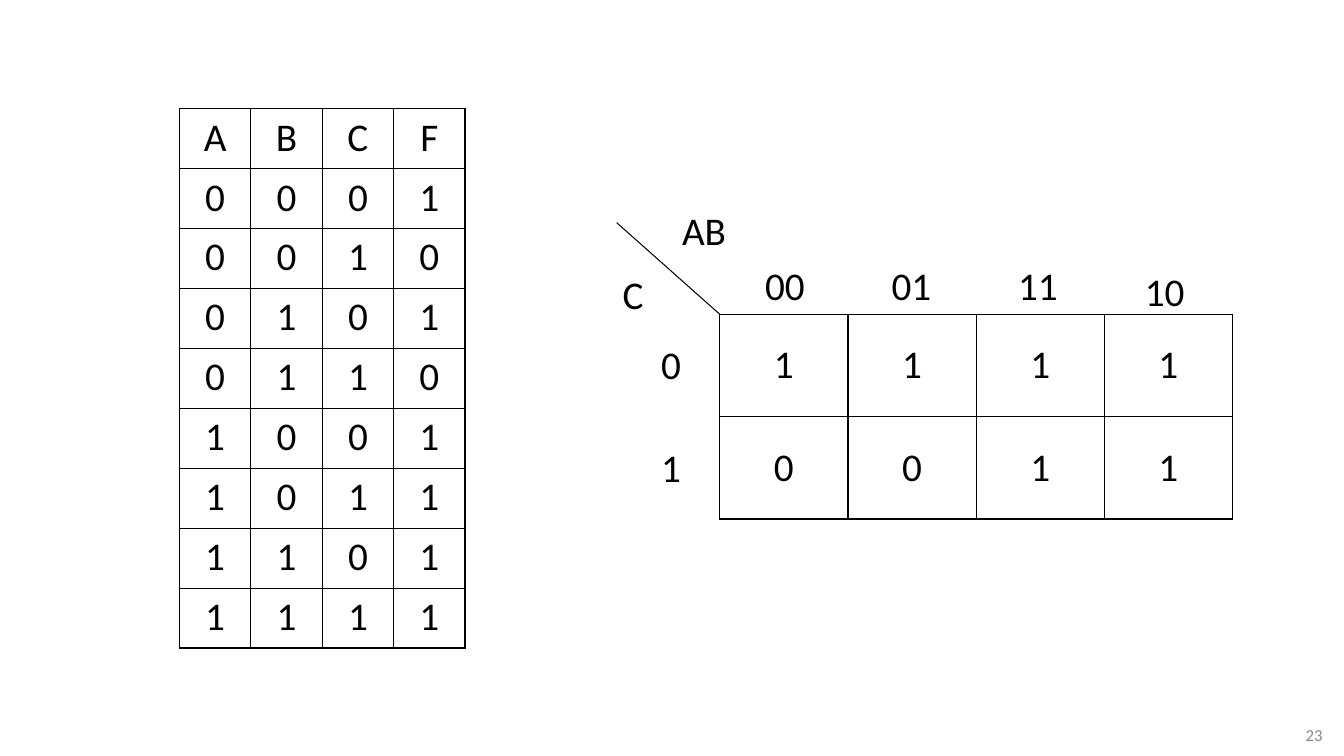
import itertools

import lxml.etree
import pptx
import pptx.dml.color
import pptx.enum.shapes
import pptx.enum.text
import pptx.oxml
import pptx.oxml.ns
import pptx.util

Cm = pptx.util.Cm
Pt = pptx.util.Pt
ALIGN = pptx.enum.text.PP_ALIGN
ANCHOR = pptx.enum.text.MSO_ANCHOR

BLACK = pptx.dml.color.RGBColor(0x00, 0x00, 0x00)
GREY = pptx.dml.color.RGBColor(0x89, 0x89, 0x89)
FONT = "Calibri"

OUTPUTS = "10101111"
TRUTH_ROWS = ["ABCF"] + [
    "".join(inputs) + output
    for inputs, output in zip(itertools.product("01", repeat=3), OUTPUTS)
]
MAP_ROWS = ["1111", "0011"]
MAP_LEFT, MAP_TOP = 18.14, 7.92
MAP_COLUMN, MAP_ROW = 3.23, 2.58


def style_paragraph(para, size=28, color=BLACK, align=ALIGN.LEFT):
    para.alignment = align
    para.font.name = FONT
    para.font.size = Pt(size)
    para.font.color.rgb = color


def add_cell_borders(cell):
    properties = cell._tc.get_or_add_tcPr()
    for index, side in enumerate(("lnL", "lnR", "lnT", "lnB")):
        border = pptx.oxml.parse_xml(
            f'<a:{side} {pptx.oxml.ns.nsdecls("a")} w="12700"><a:solidFill>'
            f'<a:srgbClr val="{BLACK}"/></a:solidFill></a:{side}>'
        )
        properties.insert(index, border)


def add_grid(page, rows, left, top, column_width, row_height, anchor):
    """Add a bordered, unfilled table with one character of each row string per cell."""
    columns = len(rows[0])
    table = page.shapes.add_table(
        len(rows), columns, Cm(left), Cm(top),
        Cm(column_width * columns), Cm(row_height * len(rows)),
    ).table
    table.first_row = False
    table.horz_banding = False
    for column in table.columns:
        column.width = Cm(column_width)
    for row in table.rows:
        row.height = Cm(row_height)
    for cell, text in zip(table.iter_cells(), "".join(rows)):
        cell.text = text
        cell.vertical_anchor = anchor
        cell.fill.background()
        add_cell_borders(cell)
        style_paragraph(cell.text_frame.paragraphs[0], align=ALIGN.CENTER)


def add_label(page, text, left, top, width):
    box = page.shapes.add_textbox(Cm(left), Cm(top), Cm(width), Cm(1.45))
    frame = box.text_frame
    frame.word_wrap = False
    frame.auto_size = pptx.enum.text.MSO_AUTO_SIZE.SHAPE_TO_FIT_TEXT
    frame.text = text
    style_paragraph(frame.paragraphs[0])


def add_line(page, start, end):
    line = page.shapes.add_connector(
        pptx.enum.shapes.MSO_CONNECTOR.STRAIGHT, *map(Cm, start + end)
    )
    line.line.color.rgb = BLACK
    line.line.width = Pt(0.75)
    lxml.etree.SubElement(line._element.spPr, pptx.oxml.ns.qn("a:effectLst"))


def add_page_number(page, number):
    box = page.shapes.add_textbox(Cm(29.95), Cm(18.14), Cm(3.63), Cm(0.74))
    frame = box.text_frame
    frame.word_wrap = True
    frame.vertical_anchor = ANCHOR.MIDDLE
    frame.text = number
    style_paragraph(frame.paragraphs[0], 12, GREY, ALIGN.RIGHT)


def add_karnaugh_map(page):
    add_grid(page, MAP_ROWS, MAP_LEFT, MAP_TOP, MAP_COLUMN, MAP_ROW, ANCHOR.MIDDLE)
    add_label(page, "C", 15.44, 6.68, 1.04)
    add_label(page, "AB", 16.94, 5.08, 1.63)
    add_line(page, (MAP_LEFT, MAP_TOP), (15.54, 5.61))
    column_labels = [("00", 6.46), ("01", 6.46), ("11", 6.46), ("10", 6.6)]
    for index, (text, top) in enumerate(column_labels):
        add_label(page, text, 19.03 + 3.19 * index, top, 1.52)
    for index, text in enumerate("01"):
        add_label(page, text, 16.41, 8.46 + MAP_ROW * index, 1.02)


def main():
    deck = pptx.Presentation()
    deck.slide_width = Cm(33.87)
    deck.slide_height = Cm(19.05)
    page = deck.slides.add_slide(deck.slide_layouts[6])
    add_grid(page, TRUTH_ROWS, 4.52, 2.74, 1.8, 1.51, ANCHOR.TOP)
    add_karnaugh_map(page)
    add_page_number(page, "23")
    deck.save("out.pptx")


if __name__ == "__main__":
    main()
